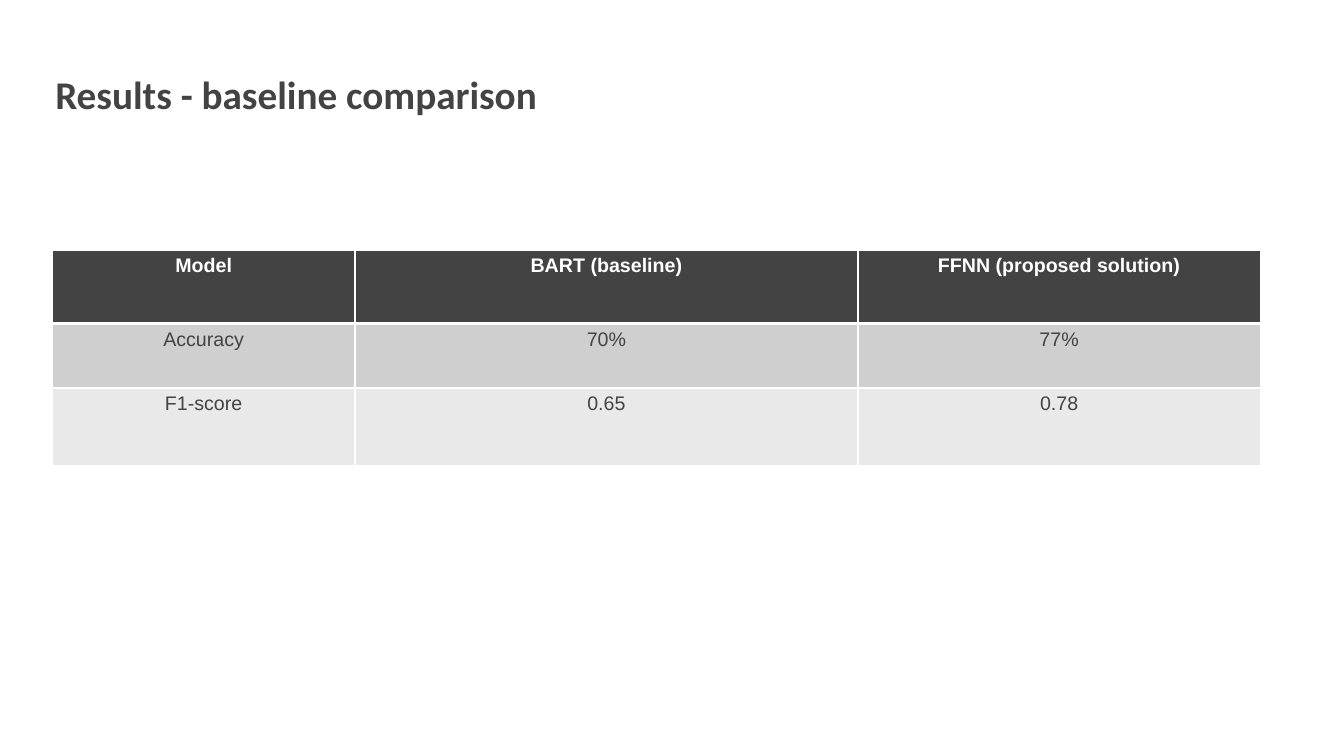
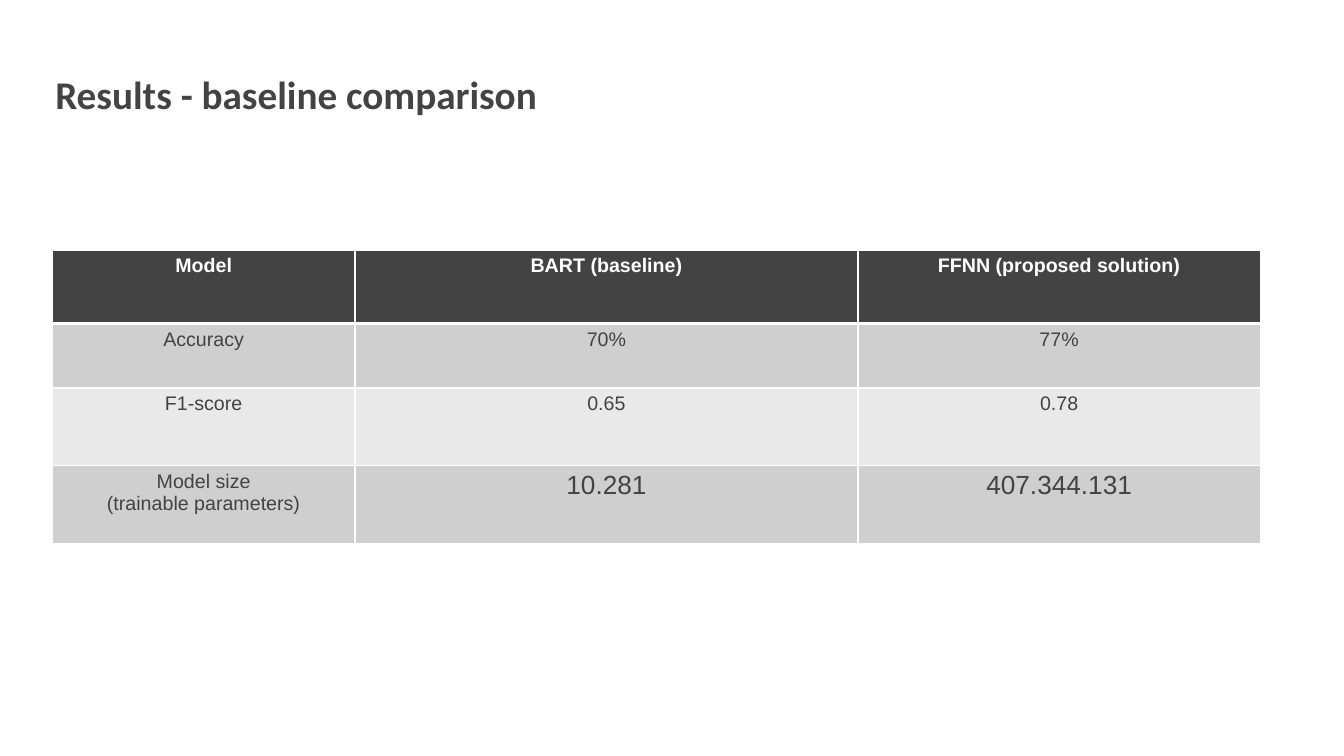
import pptx
import pptx.dml.color
import pptx.enum.text
import pptx.oxml.ns
import pptx.util
import lxml.etree

Inches = pptx.util.Inches
Pt = pptx.util.Pt

TITLE = "Results - baseline comparison"
HEADER = ("Model", "BART (baseline)", "FFNN (proposed solution)")
SCORES = [
    ("Accuracy", "70%", "77%"),
    ("F1-score", "0.65", "0.78"),
]
MODEL_SIZE = ("Model size\n(trainable parameters)", "10.281", "407.344.131")
PAGES = [
    {"rows": [HEADER, *SCORES], "large_row": None},
    {"rows": [HEADER, *SCORES, MODEL_SIZE], "large_row": 3},
]

THEME = {
    "dark": "434343",
    "white": "FFFFFF",
    "bands": ("E9E9E9", "CFCFCF"),
    "title_font": "Calibri",
    "table_font": "Arial",
    "title_size": 28,
    "cell_size": 14,
    "large_size": 18.7,
    "rule": 1,
    "header_rule": 3,
}
TITLE_AREA = (0.45, 0.65, 12.42, 1.25)
TABLE_LEFT, TABLE_TOP = 0.52, 2.48
COLUMN_WIDTHS = (3, 4.99, 3.99)
ROW_HEIGHTS = (0.73, 0.64, 0.77, 0.77)


def color(name):
    return pptx.dml.color.RGBColor.from_string(name)


def style_text(frame, font, size, text_color, bold, align):
    for para in frame.paragraphs:
        para.alignment = align
        for span in para.runs:
            span.font.name = font
            span.font.size = Pt(size)
            span.font.bold = bold
            span.font.color.rgb = color(text_color)


def set_borders(cell, widths):
    properties = cell._tc.get_or_add_tcPr()
    qn = pptx.oxml.ns.qn
    for position, (side, width) in enumerate(widths.items()):
        line = lxml.etree.Element(qn(f"a:ln{side}"), w=str(Pt(width)))
        fill = lxml.etree.SubElement(line, qn("a:solidFill"))
        lxml.etree.SubElement(fill, qn("a:srgbClr"), val=THEME["white"])
        properties.insert(position, line)


def add_title(page):
    box = page.shapes.add_textbox(*map(Inches, TITLE_AREA))
    box.text_frame.word_wrap = True
    box.text_frame.text = TITLE
    style_text(box.text_frame, THEME["title_font"], THEME["title_size"],
               THEME["dark"], True, pptx.enum.text.PP_ALIGN.LEFT)


def fill_cell(cell, text, row, large):
    is_header = row == 0
    cell.text_frame.text = text
    style_text(cell.text_frame, THEME["table_font"],
               THEME["large_size"] if large else THEME["cell_size"],
               THEME["white"] if is_header else THEME["dark"],
               is_header, pptx.enum.text.PP_ALIGN.CENTER)
    cell.fill.solid()
    cell.fill.fore_color.rgb = color(THEME["dark"] if is_header else THEME["bands"][row % 2])
    rule, header_rule = THEME["rule"], THEME["header_rule"]
    set_borders(cell, {
        "L": rule,
        "R": rule,
        "T": header_rule if row == 1 else rule,
        "B": header_rule if is_header else rule,
    })


def add_results(page, rows, large_row):
    heights = ROW_HEIGHTS[:len(rows)]
    table = page.shapes.add_table(
        len(rows), len(COLUMN_WIDTHS), Inches(TABLE_LEFT), Inches(TABLE_TOP),
        Inches(sum(COLUMN_WIDTHS)), Inches(sum(heights))).table
    for column, width in zip(table.columns, COLUMN_WIDTHS):
        column.width = Inches(width)
    for row, (texts, height) in enumerate(zip(rows, heights)):
        table.rows[row].height = Inches(height)
        for column, text in enumerate(texts):
            fill_cell(table.cell(row, column), text, row,
                      large=row == large_row and column > 0)


def main():
    deck = pptx.Presentation()
    deck.slide_width, deck.slide_height = Inches(13.33), Inches(7.5)
    for content in PAGES:
        page = deck.slides.add_slide(deck.slide_layouts[6])
        add_title(page)
        add_results(page, **content)
    deck.save("out.pptx")


if __name__ == "__main__":
    main()
